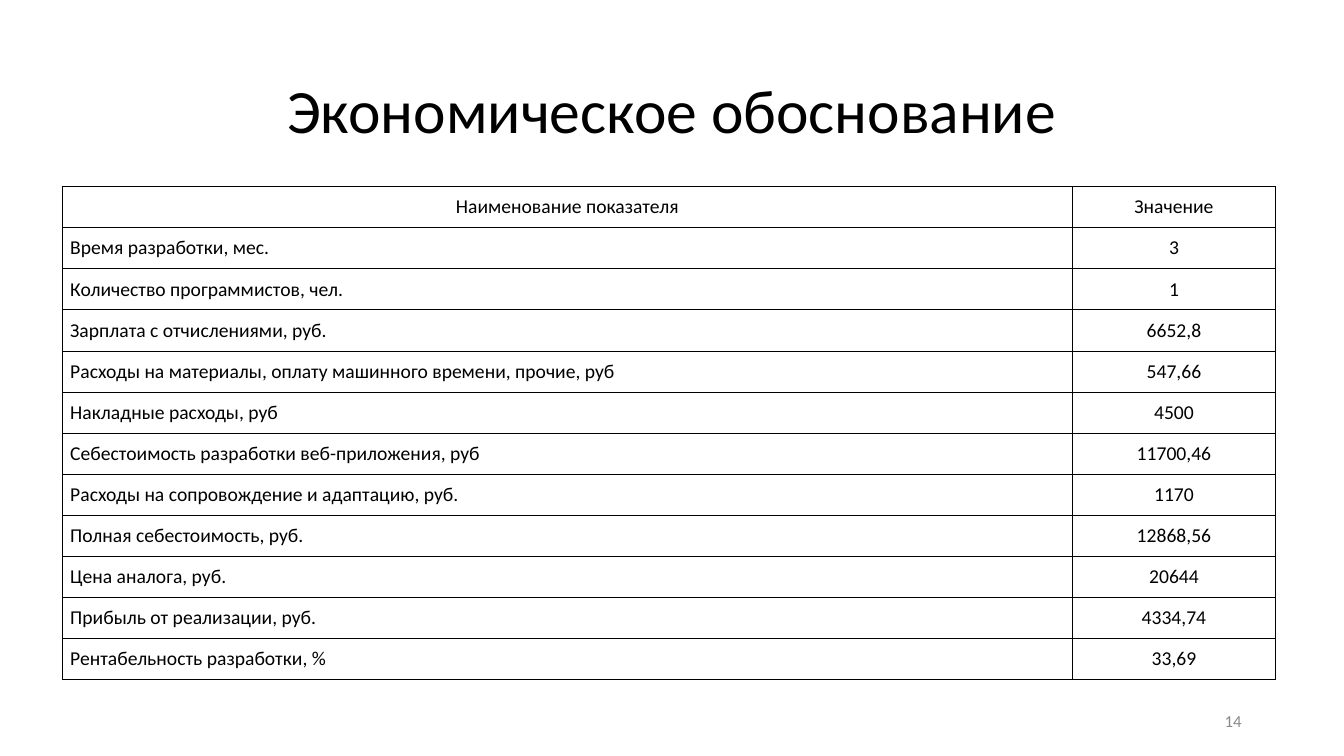
from dataclasses import dataclass

import lxml.etree
import pptx
import pptx.dml.color
import pptx.enum.text
import pptx.oxml.ns
import pptx.presentation
import pptx.shapes.base
import pptx.slide
import pptx.table
import pptx.text.text
import pptx.util

Cm = pptx.util.Cm
Align = pptx.enum.text.PP_ALIGN
Anchor = pptx.enum.text.MSO_ANCHOR

FONT = "Calibri"
COLORS = {"text": "000000", "cell": "FFFFFF", "border": "000000", "page_number": "898989"}
BORDER_WIDTH = pptx.util.Pt(0.45)
COLUMN_WIDTHS = (25.45, 5.13)
TABLE_HEIGHT = 12.42


@dataclass(frozen=True)
class Indicator:
    name: str
    value: str


HEADER = Indicator("Наименование показателя", "Значение")
INDICATORS = (
    Indicator("Время разработки, мес.", "3"),
    Indicator("Количество программистов, чел.", "1"),
    Indicator("Зарплата с отчислениями, руб.", "6652,8"),
    Indicator("Расходы на материалы, оплату машинного времени, прочие, руб", "547,66"),
    Indicator("Накладные расходы, руб", "4500"),
    Indicator("Себестоимость разработки веб-приложения, руб", "11700,46"),
    Indicator("Расходы на сопровождение и адаптацию, руб.", "1170"),
    Indicator("Полная себестоимость, руб.", "12868,56"),
    Indicator("Цена аналога, руб.", "20644"),
    Indicator("Прибыль от реализации, руб.", "4334,74"),
    Indicator("Рентабельность разработки, %", "33,69"),
)


def rgb(name: str) -> pptx.dml.color.RGBColor:
    return pptx.dml.color.RGBColor.from_string(COLORS[name])


def write(
    frame: pptx.text.text.TextFrame,
    text: str,
    size: int,
    alignment: Align,
    line_spacing: float = 1.0,
    color: str = "text",
) -> None:
    paragraph = frame.paragraphs[0]
    paragraph.alignment = alignment
    paragraph.line_spacing = line_spacing
    run = paragraph.add_run()
    run.text = text
    run.font.name = FONT
    run.font.size = pptx.util.Pt(size)
    run.font.color.rgb = rgb(color)


def add_borders(cell: pptx.table._Cell) -> None:
    properties = cell._tc.get_or_add_tcPr()
    for side in ("a:lnL", "a:lnR", "a:lnT", "a:lnB"):
        line = lxml.etree.SubElement(properties, pptx.oxml.ns.qn(side), w=str(BORDER_WIDTH))
        fill = lxml.etree.SubElement(line, pptx.oxml.ns.qn("a:solidFill"))
        lxml.etree.SubElement(fill, pptx.oxml.ns.qn("a:srgbClr"), val=COLORS["border"])


def fill_cell(cell: pptx.table._Cell, text: str, alignment: Align) -> None:
    add_borders(cell)
    cell.fill.solid()
    cell.fill.fore_color.rgb = rgb("cell")
    cell.margin_left = cell.margin_right = Cm(0.19)
    cell.margin_top = cell.margin_bottom = Cm(0.13)
    write(cell.text_frame, text, 14, alignment, 1.15)


def add_title(slide: pptx.slide.Slide) -> None:
    title = slide.shapes.title
    title.left, title.top, title.width, title.height = Cm(2.34), Cm(1.02), Cm(29.21), Cm(3.68)
    title.text_frame.vertical_anchor = Anchor.MIDDLE
    write(title.text_frame, "Экономическое обоснование", 44, Align.CENTER, 0.9)


def add_indicator_table(slide: pptx.slide.Slide) -> None:
    rows = (HEADER, *INDICATORS)
    table = slide.shapes.add_table(
        len(rows), len(COLUMN_WIDTHS),
        Cm(1.58), Cm(4.7), Cm(sum(COLUMN_WIDTHS)), Cm(TABLE_HEIGHT),
    ).table
    table.first_row = False
    table.horz_banding = False
    for column, width in zip(table.columns, COLUMN_WIDTHS):
        column.width = Cm(width)
    for index, indicator in enumerate(rows):
        name_alignment = Align.CENTER if indicator is HEADER else Align.LEFT
        fill_cell(table.cell(index, 0), indicator.name, name_alignment)
        fill_cell(table.cell(index, 1), indicator.value, Align.CENTER)


def add_page_number(slide: pptx.slide.Slide) -> None:
    frame = slide.shapes.add_textbox(Cm(23.93), Cm(17.65), Cm(7.62), Cm(1.02)).text_frame
    frame.word_wrap = True
    frame.vertical_anchor = Anchor.MIDDLE
    write(frame, "14", 12, Align.RIGHT, color="page_number")


def main() -> None:
    presentation = pptx.Presentation()
    presentation.slide_width = Cm(33.88)
    presentation.slide_height = Cm(19.05)
    slide = presentation.slides.add_slide(presentation.slide_layouts.get_by_name("Title Only"))
    add_title(slide)
    add_indicator_table(slide)
    add_page_number(slide)
    presentation.save("out.pptx")


if __name__ == "__main__":
    main()
